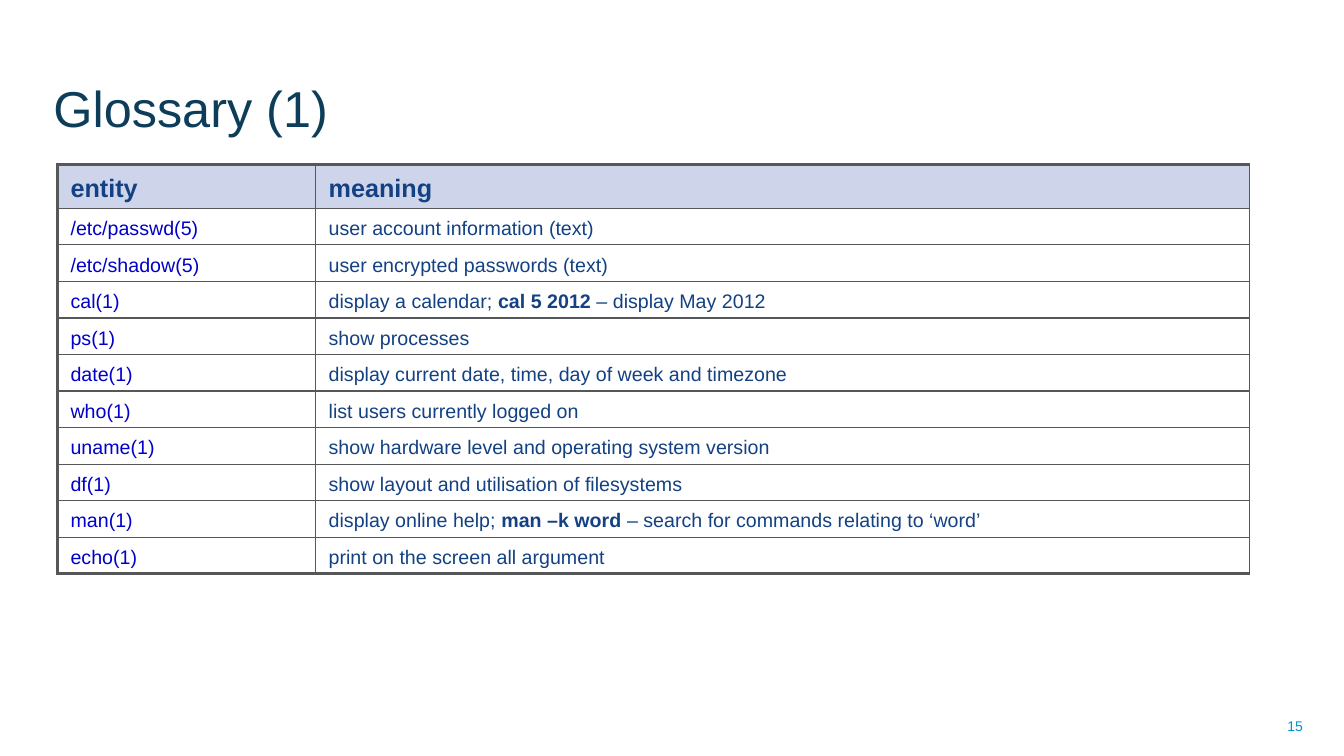
from lxml.etree import SubElement
from pptx import Presentation
from pptx.dml.color import RGBColor
from pptx.enum.text import MSO_ANCHOR, PP_ALIGN
from pptx.oxml.ns import qn
from pptx.util import Inches, Pt

NAVY, BLUE, GREY = "134183", "0000C8", "565759"
HEADER_HEIGHT, ROW_HEIGHT = 0.43, 0.36
COLUMN_WIDTHS = (2.56, 9.26)

glossary = [
    ("entity", ["meaning"]),
    ("/etc/passwd(5)", ["user account information (text)"]),
    ("/etc/shadow(5)", ["user encrypted passwords (text)"]),
    ("cal(1)", ["display a calendar; ", "cal 5 2012", " – display May 2012"]),
    ("ps(1)", ["show processes"]),
    ("date(1)", ["display current date, time, day of week and timezone"]),
    ("who(1)", ["list users currently logged on"]),
    ("uname(1)", ["show hardware level and operating system version"]),
    ("df(1)", ["show layout and utilisation of filesystems"]),
    ("man(1)", ["display online help; ", "man –k word",
                " – search for commands relating to ‘word’"]),
    ("echo(1)", ["print on the screen all argument"]),
]


def style(span, size, color, bold=False):
    span.font.name = "Arial"
    span.font.size = Pt(size)
    span.font.bold = bold
    span.font.color.rgb = RGBColor.from_string(color)


def add_border(cell, side, width):
    line = SubElement(cell._tc.get_or_add_tcPr(), qn(f"a:{side}"), w=str(Pt(width)))
    fill = SubElement(line, qn("a:solidFill"))
    SubElement(fill, qn("a:srgbClr"), val=GREY)


deck = Presentation()
deck.slide_width, deck.slide_height = Inches(13.33), Inches(7.5)
slide = deck.slides.add_slide(deck.slide_layouts[5])

title = slide.shapes.title
title.left, title.top = Inches(0.45), Inches(0.14)
title.width, title.height = Inches(9.98), Inches(1.26)
title.text_frame.text = "Glossary (1)"
title.text_frame.vertical_anchor = MSO_ANCHOR.BOTTOM
title.text_frame.margin_left = Inches(0.08)
title.text_frame.margin_bottom = Inches(0.03)
heading = title.text_frame.paragraphs[0]
heading.alignment = PP_ALIGN.LEFT
style(heading.runs[0], 36, "0D3D59")

last_row = len(glossary) - 1
frame = slide.shapes.add_table(
    len(glossary), len(COLUMN_WIDTHS), Inches(0.57), Inches(1.63),
    Inches(sum(COLUMN_WIDTHS)), Inches(HEADER_HEIGHT + last_row * ROW_HEIGHT))
table = frame.table
table.horz_banding = False
for column, width in zip(table.columns, COLUMN_WIDTHS):
    column.width = Inches(width)

for row_index, (entity, meaning) in enumerate(glossary):
    is_header = row_index == 0
    table.rows[row_index].height = Inches(HEADER_HEIGHT if is_header else ROW_HEIGHT)
    for column_index, parts in enumerate(([entity], meaning)):
        cell = table.cell(row_index, column_index)
        cell.margin_left = cell.margin_right = Inches(0.13)
        cell.margin_top = cell.margin_bottom = Inches(0.05)
        para = cell.text_frame.paragraphs[0]
        para.line_spacing = 1.2
        color = NAVY if is_header or column_index else BLUE
        for part_index, part in enumerate(parts):
            span = para.add_run()
            span.text = part
            style(span, 18 if is_header else 14, color, is_header or part_index == 1)
        add_border(cell, "lnL", 1 if column_index else 2.25)
        add_border(cell, "lnR", 1)
        add_border(cell, "lnT", 2.25 if is_header else 1)
        add_border(cell, "lnB", 2.25 if row_index == last_row else 1)
        cell.fill.solid()
        cell.fill.fore_color.rgb = RGBColor.from_string("CED5EA" if is_header else "FFFFFF")

page_box = slide.shapes.add_textbox(Inches(9.91), Inches(7), Inches(3.11), Inches(0.4))
page_box.text_frame.word_wrap = True
page_box.text_frame.vertical_anchor = MSO_ANCHOR.MIDDLE
page_box.text_frame.text = "15"
page_number = page_box.text_frame.paragraphs[0]
page_number.alignment = PP_ALIGN.RIGHT
style(page_number.runs[0], 10, "008FD0")

deck.save("out.pptx")
